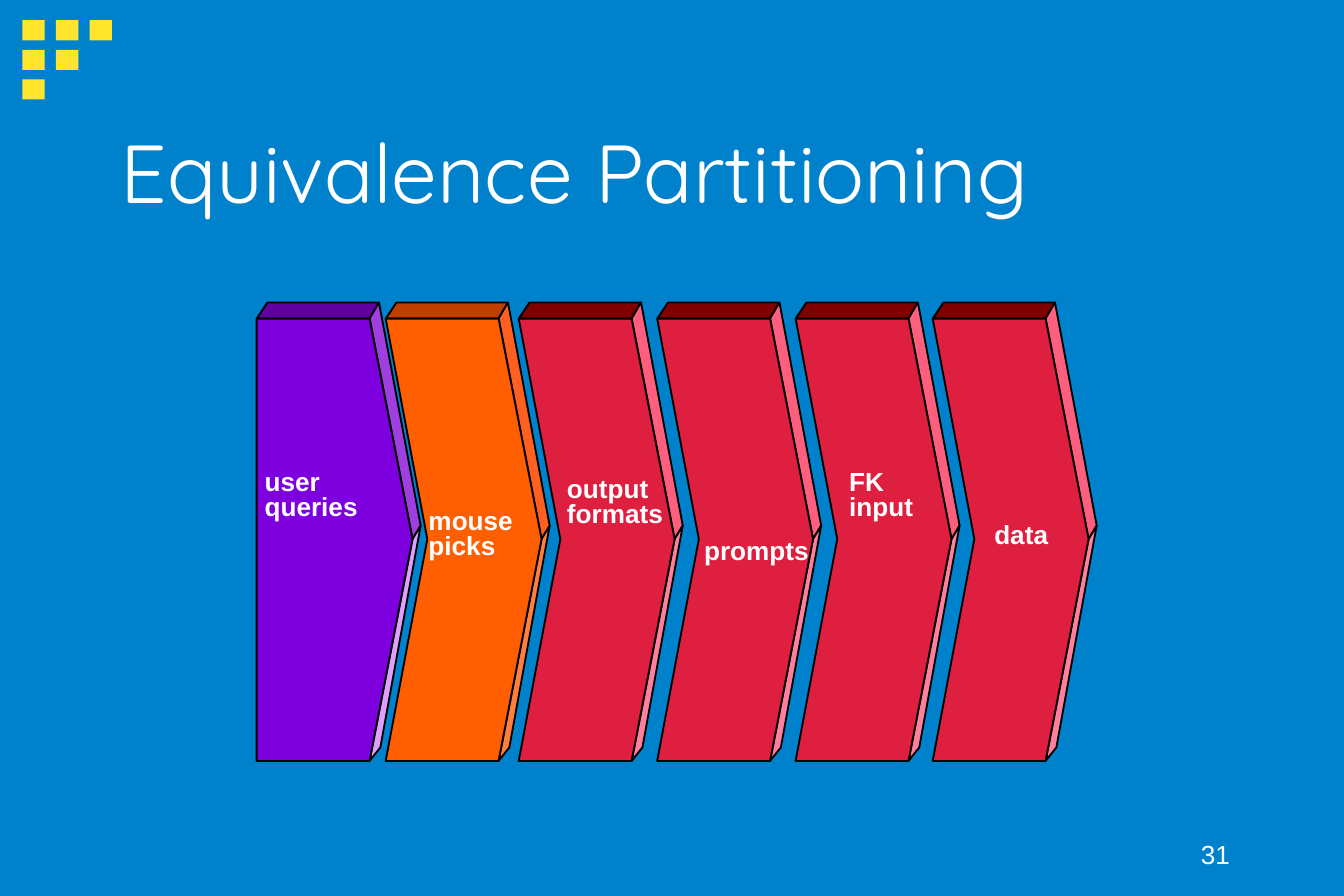
"""Build the Equivalence Partitioning slide with its row of solid arrows."""
from lxml.etree import SubElement
from pptx import Presentation
from pptx.dml.color import RGBColor
from pptx.enum.shapes import MSO_SHAPE as Preset
from pptx.enum.text import MSO_ANCHOR as Anchor, MSO_AUTO_SIZE as AutoSize, PP_ALIGN as Align
from pptx.oxml.ns import qn
from pptx.util import Emu, Inches, Pt

COLOURS = {
    "background": "0081CB", "square": "FFE62D", "text": "FFFFFF",
    "outline": "000000", "title shadow": "808080",
}
FACES = {
    "purple": {"top": "5F009F", "upper": "9F3FDF", "lower": "DF9FFF", "front": "7F00DF"},
    "orange": {"top": "BF3F00", "upper": "FF5F1F", "lower": "FF7F3F", "front": "FF5F00"},
    "red": {"top": "800000", "upper": "FF5F7F", "lower": "FF7F9F", "front": "DF1F3F"},
}
BACK, TOP, MIDDLE, BOTTOM = 2.25, 2.37, 4.01, 5.66
OUTLINES = {
    "top": [(0.84, TOP), (0, TOP), (0.08, BACK), (0.91, BACK)],
    "upper": [(0.91, BACK), (0.84, TOP), (1.16, MIDDLE), (1.22, 3.91)],
    "lower": [(1.22, 3.91), (1.16, MIDDLE), (0.84, BOTTOM), (0.92, 5.56)],
    "front": [(0.84, TOP), (0, TOP), (0.31, MIDDLE), (0, BOTTOM), (0.84, BOTTOM), (1.16, MIDDLE)],
}
ARROWS = [
    (1.91, "purple"), (2.87, "orange"), (3.86, "red"),
    (4.89, "red"), (5.92, "red"), (6.94, "red"),
]
LABELS = [
    (["user", "queries"], 1.87, 3.46, 0.89),
    (["mouse", "picks"], 3.09, 3.75, 0.83),
    (["output", "formats"], 4.12, 3.51, 0.93),
    (["prompts"], 5.14, 3.97, 0.98),
    (["FK", "input"], 6.22, 3.46, 0.68),
    (["data"], 7.3, 3.85, 0.6),
]


def paint(fill, colour):
    fill.solid()
    fill.fore_color.rgb = RGBColor.from_string(colour)


def style(paragraph, size, name, bold=False):
    paragraph.font.size = Pt(size)
    paragraph.font.name = name
    paragraph.font.bold = bold
    paragraph.font.color.rgb = RGBColor.from_string(COLOURS["text"])


presentation = Presentation()
presentation.slide_width, presentation.slide_height = Inches(10), Emu(6094413)
slide = presentation.slides.add_slide(presentation.slide_layouts[5])
paint(slide.background.fill, COLOURS["background"])

side = presentation.slide_width // 60
squares = slide.shapes.add_group_shape()
for row in range(3):
    for column in range(3 - row):
        square = squares.shapes.add_shape(
            Preset.RECTANGLE, side + Inches(0.25 * column), Inches(0.15 + 0.22 * row),
            side, Inches(0.15))
        square.shadow.inherit = False
        paint(square.fill, COLOURS["square"])
        square.line.fill.background()

number = slide.shapes.add_textbox(Inches(7.17), Inches(6.08), Inches(2.08), Inches(0.44))
number.text_frame.word_wrap = True
number.text_frame.vertical_anchor = Anchor.BOTTOM
number.text_frame.text = "31"
paragraph = number.text_frame.paragraphs[0]
paragraph.alignment = Align.RIGHT
style(paragraph, 14, "Arial")

title = slide.shapes.title
title.left, title.top, title.width, title.height = map(Inches, (0.8, 0.99, 7.84, 0.56))
title.text_frame.text = "Equivalence Partitioning"
title.text_frame.vertical_anchor = Anchor.MIDDLE
title.text_frame.auto_size = AutoSize.NONE
paragraph = title.text_frame.paragraphs[0]
paragraph.alignment = Align.LEFT
style(paragraph, 44, "Quicksand")
run_font = paragraph.runs[0].font
run_font.color.rgb = RGBColor.from_string(COLOURS["text"])
effects = SubElement(run_font._element, qn("a:effectLst"))
shadow = SubElement(effects, qn("a:outerShdw"), dist="38100", dir="2700000")
SubElement(shadow, qn("a:srgbClr"), val=COLOURS["title shadow"])

for left, palette in ARROWS:
    arrow = slide.shapes.add_group_shape()
    for face, outline in OUTLINES.items():
        points = [(Inches(left + x), Inches(y)) for x, y in outline]
        if palette == "purple" and face == "front":
            points.pop(2)
        builder = arrow.shapes.build_freeform(*points[0])
        builder.add_line_segments(points[1:], close=True)
        shape = builder.convert_to_shape()
        shape.shadow.inherit = False
        paint(shape.fill, FACES[palette][face])
        paint(shape.line.fill, COLOURS["outline"])
        shape.line.width = Pt(1)

for lines, left, top, width in LABELS:
    height = 0.09 + 0.19 * len(lines)
    label = slide.shapes.add_textbox(Inches(left), Inches(top), Inches(width), Inches(height))
    label.text_frame.word_wrap = False
    label.text_frame.auto_size = AutoSize.SHAPE_TO_FIT_TEXT
    label.text_frame.text = "\n".join(lines)
    for paragraph in label.text_frame.paragraphs:
        paragraph.line_spacing = 0.8
        style(paragraph, 14, "Arial", bold=True)

presentation.save("out.pptx")
